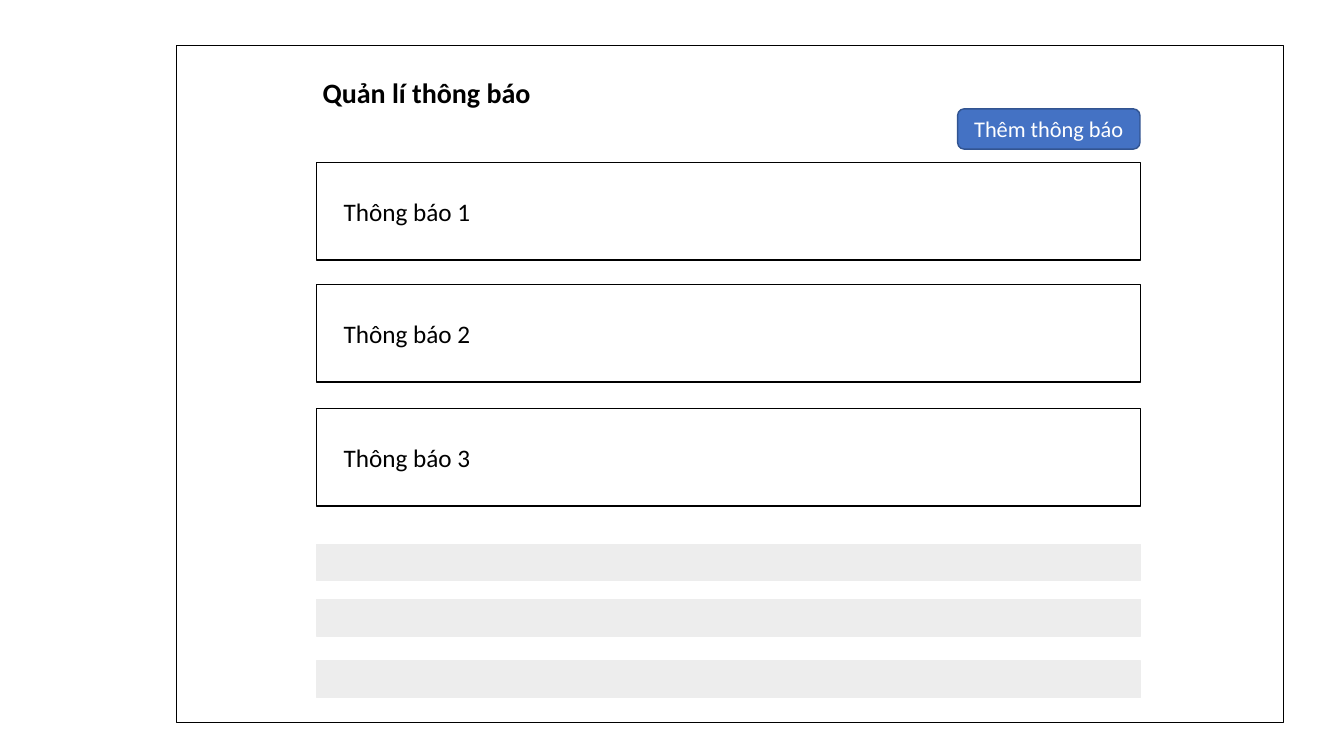
from dataclasses import dataclass

from pptx import Presentation
from pptx.dml.color import RGBColor
from pptx.enum.shapes import MSO_SHAPE
from pptx.enum.text import MSO_ANCHOR, MSO_AUTO_SIZE, PP_ALIGN
from pptx.util import Inches, Pt


@dataclass(frozen=True)
class Theme:
    font: str = "Calibri"
    white: str = "FFFFFF"
    black: str = "000000"
    blue: str = "4472C4"
    navy: str = "325491"
    gray: str = "EDEDED"
    head: int = 20
    body: int = 18
    small: int = 16


THEME = Theme()
WIDE, HIGH = Inches(13.33), Inches(7.5)
COLS, ROWS = 40, 30

# Columns and rows of the grid
LEFT, SPAN = 9.42, 24.52
CARD_TOPS, CARD_H = (6.44, 11.28, 16.2), 3.88
BAR_TOPS, BAR_H = (21.6, 23.8, 26.24), 1.44
LABEL_X, LABEL_DROP, LABEL_W, LABEL_H = 9.93, 1.14, 8.25, 1.6


def grid(col, row, width, height):
    """Turn grid units into slide lengths."""
    return (round(col * WIDE / COLS), round(row * HIGH / ROWS),
            round(width * WIDE / COLS), round(height * HIGH / ROWS))


def write(shape, text, size, color, align=PP_ALIGN.LEFT,
          anchor=MSO_ANCHOR.TOP, bold=False, wrap=True):
    frame = shape.text_frame
    frame.text = text
    frame.word_wrap = wrap
    frame.auto_size = MSO_AUTO_SIZE.NONE
    frame.vertical_anchor = anchor
    para = frame.paragraphs[0]
    para.alignment = align
    font = para.font
    font.name, font.size, font.bold = THEME.font, Pt(size), bold
    font.color.rgb = RGBColor.from_string(color)


def add_box(slide, area, fill, line, kind=MSO_SHAPE.RECTANGLE):
    box = slide.shapes.add_shape(kind, *grid(*area))
    box.shadow.inherit = False
    box.fill.solid()
    box.fill.fore_color.rgb = RGBColor.from_string(fill)
    box.line.color.rgb = RGBColor.from_string(line)
    box.line.width = Pt(1)
    return box


def add_title(slide, back, text):
    """Place the title just in front of the back panel."""
    title = slide.shapes.title
    title.left, title.top, title.width, title.height = grid(9.3, 2.8, 6.84, 1.76)
    write(title, text, THEME.head, THEME.black, bold=True, wrap=False)
    back.element.addnext(title.element)


def add_button(slide, text):
    button = add_box(slide, (28.5, 4.32, 5.43, 1.6), THEME.blue, THEME.navy,
                     MSO_SHAPE.ROUNDED_RECTANGLE)
    write(button, text, THEME.small, THEME.white, PP_ALIGN.CENTER,
          MSO_ANCHOR.MIDDLE)


def add_card(slide, top, text):
    add_box(slide, (LEFT, top, SPAN, CARD_H), THEME.white, THEME.black)
    label = slide.shapes.add_textbox(
        *grid(LABEL_X, top + LABEL_DROP, LABEL_W, LABEL_H))
    write(label, text, THEME.body, THEME.black)


def main():
    deck = Presentation()
    deck.slide_width, deck.slide_height = WIDE, HIGH
    slide = deck.slides.add_slide(deck.slide_layouts.get_by_name("Title Only"))
    panel = add_box(slide, (5.25, 1.8, 32.95, 26.88), THEME.white, THEME.black)
    add_title(slide, panel, "Quản lí thông báo")
    add_button(slide, "Thêm thông báo")
    for top in BAR_TOPS:
        add_box(slide, (LEFT, top, SPAN, BAR_H), THEME.gray, THEME.gray)
    for count, top in enumerate(CARD_TOPS, 1):
        add_card(slide, top, f"Thông báo {count}")
    deck.save("out.pptx")


if __name__ == "__main__":
    main()
